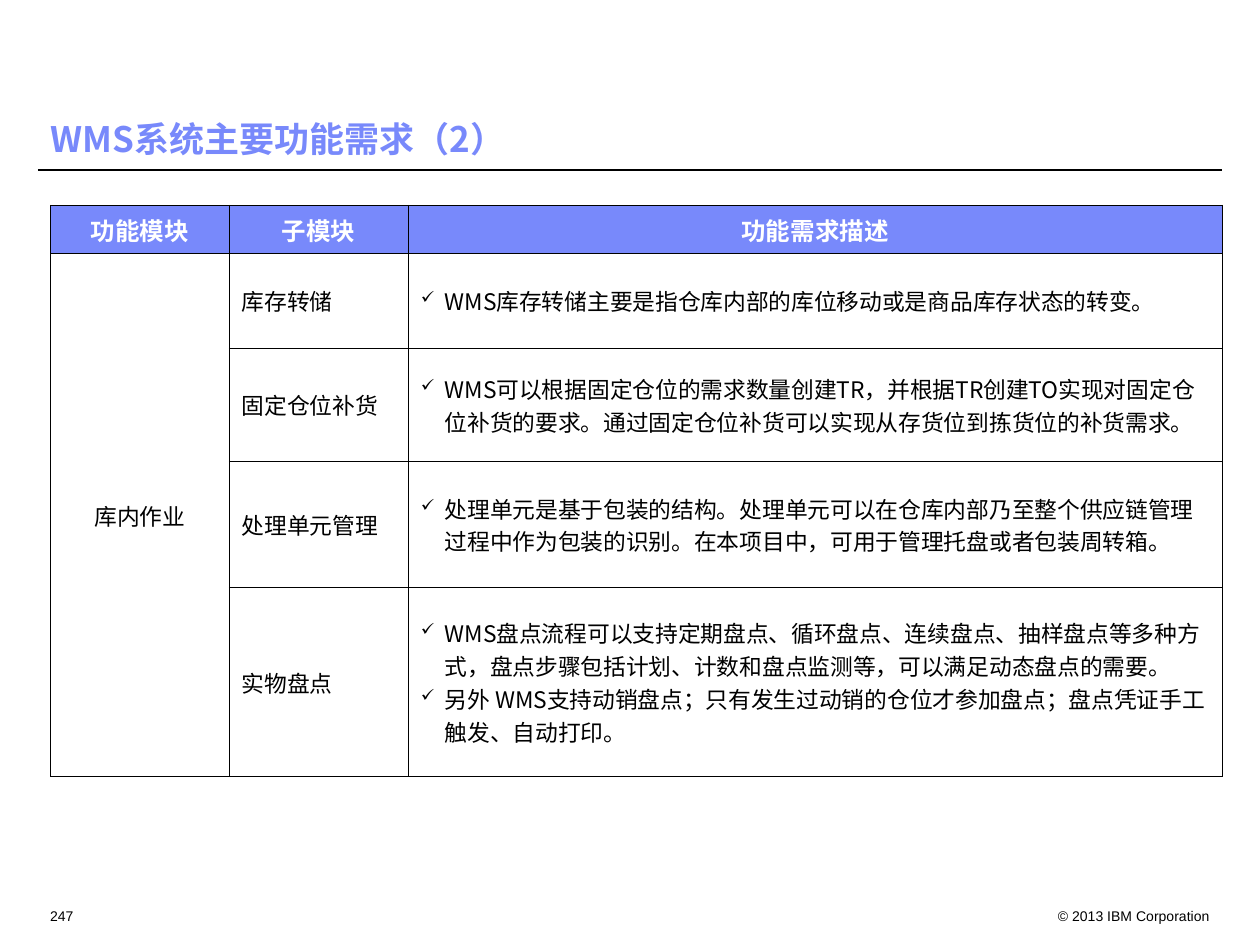
from lxml.etree import SubElement
from pptx import Presentation
from pptx.dml.color import RGBColor
from pptx.enum.shapes import MSO_CONNECTOR
from pptx.enum.text import MSO_ANCHOR, MSO_AUTO_SIZE, PP_ALIGN
from pptx.oxml import parse_xml
from pptx.oxml.ns import nsdecls, qn
from pptx.util import Inches, Pt

BLUE, BLACK, WHITE = "7889FB", "000000", "FFFFFF"
LATIN, CHINESE = "Arial", "Noto Sans CJK SC"
WIDTH, HEIGHT = Inches(10), Inches(7.5)
COLUMN_SHARES = [1.42, 1.42, 6.46]
ROW_SHARES = [0.37, 0.75, 0.9, 1, 1.5]
HEADINGS = ["功能模块", "子模块", "功能需求描述"]
MODULE = "库内作业"
REQUIREMENTS = [
    ("库存转储", ["WMS库存转储主要是指仓库内部的库位移动或是商品库存状态的转变。"]),
    ("固定仓位补货", [
        "WMS可以根据固定仓位的需求数量创建TR，并根据TR创建TO实现对固定仓位补货的要求。"
        "通过固定仓位补货可以实现从存货位到拣货位的补货需求。"]),
    ("处理单元管理", [
        "处理单元是基于包装的结构。处理单元可以在仓库内部乃至整个供应链管理过程中作为包装的识别。"
        "在本项目中，可用于管理托盘或者包装周转箱。"]),
    ("实物盘点", [
        "WMS盘点流程可以支持定期盘点、循环盘点、连续盘点、抽样盘点等多种方式，"
        "盘点步骤包括计划、计数和盘点监测等，可以满足动态盘点的需要。",
        "另外 WMS支持动销盘点；只有发生过动销的仓位才参加盘点；盘点凭证手工触发、自动打印。"]),
]
TITLE = dict(size=Pt(20), name=CHINESE, bold=True)
HEADING = dict(size=Pt(14), name=CHINESE, bold=True)
BODY = dict(size=Pt(13), name=CHINESE, bold=False)
FOOTER = dict(size=Pt(8), name=LATIN, bold=False)


def rgb(value):
    return RGBColor.from_string(value)


def box(left, top, width, height):
    return [int(share * side) for share, side in
            zip((left, top, width, height), (WIDTH, HEIGHT) * 2)]


def write(paragraph, text, style, colour, align=PP_ALIGN.LEFT):
    paragraph.alignment = align
    run = paragraph.add_run()
    run.text = text
    for key, value in style.items():
        setattr(run.font, key, value)
    run.font.color.rgb = rgb(colour)
    east_asian = SubElement(run.font._element, qn("a:ea"))
    east_asian.set("typeface", style["name"])


def add_check(paragraph):
    properties = paragraph._p.get_or_add_pPr()
    properties.set("marL", str(Inches(0.19)))
    properties.set("indent", str(Inches(-0.19)))
    for bullet in (f'<a:buClr {nsdecls("a")}><a:srgbClr val="{BLACK}"/></a:buClr>',
                   f'<a:buSzPct {nsdecls("a")} val="75000"/>',
                   f'<a:buChar {nsdecls("a")} char="✓"/>'):
        properties.append(parse_xml(bullet))


def format_cell(cell, fill=None):
    cell.vertical_anchor = MSO_ANCHOR.MIDDLE
    properties = cell._tc.get_or_add_tcPr()
    for side in "LRTB":
        properties.append(parse_xml(
            f'<a:ln{side} {nsdecls("a")} w="{Pt(0.5)}"><a:solidFill>'
            f'<a:srgbClr val="{BLACK}"/></a:solidFill></a:ln{side}>'))
    if fill:
        cell.fill.solid()
        cell.fill.fore_color.rgb = rgb(fill)
    else:
        cell.fill.background()


def add_heading(slide, area, text):
    title = slide.shapes.title
    title.left, title.top, title.width, title.height = area
    frame = title.text_frame
    frame.auto_size = MSO_AUTO_SIZE.NONE
    frame.vertical_anchor = MSO_ANCHOR.BOTTOM
    frame.paragraphs[0].line_spacing = 0.9
    write(frame.paragraphs[0], text, TITLE, BLUE)


def add_rule(slide, left, top, width):
    rule = slide.shapes.add_connector(
        MSO_CONNECTOR.STRAIGHT, left, top, left + width, top)
    rule.line.width = Pt(0.75)
    rule.line.color.rgb = rgb(BLACK)
    SubElement(rule._element.spPr, qn("a:effectLst"))


def add_footer(slide, area, text, align):
    frame = slide.shapes.add_textbox(*area).text_frame
    frame.word_wrap = True
    write(frame.paragraphs[0], text, FOOTER, BLACK, align)


def add_requirements(slide, area):
    left, top, width, height = area
    table = slide.shapes.add_table(
        len(ROW_SHARES), len(COLUMN_SHARES), left, top, width, height).table
    table.first_row = table.horz_banding = False
    for column, share in zip(table.columns, COLUMN_SHARES):
        column.width = int(width * share / sum(COLUMN_SHARES))
    for row, share in zip(table.rows, ROW_SHARES):
        row.height = int(height * share / sum(ROW_SHARES))
    table.cell(1, 0).merge(table.cell(len(REQUIREMENTS), 0))
    for index, row in enumerate(table.rows):
        for cell in row.cells:
            format_cell(cell, None if index else BLUE)

    for cell, heading in zip(table.rows[0].cells, HEADINGS):
        write(cell.text_frame.paragraphs[0], heading, HEADING, WHITE, PP_ALIGN.CENTER)
    write(table.cell(1, 0).text_frame.paragraphs[0], MODULE, BODY, BLACK, PP_ALIGN.CENTER)
    for index, (submodule, descriptions) in enumerate(REQUIREMENTS, 1):
        write(table.cell(index, 1).text_frame.paragraphs[0], submodule, BODY, BLACK)
        frame = table.cell(index, 2).text_frame
        for order, description in enumerate(descriptions):
            paragraph = frame.add_paragraph() if order else frame.paragraphs[0]
            add_check(paragraph)
            write(paragraph, description, BODY, BLACK)


def main():
    deck = Presentation()
    deck.slide_width, deck.slide_height = WIDTH, HEIGHT
    slide = deck.slides.add_slide(deck.slide_layouts[5])
    add_rule(slide, *box(0.03, 0.18, 0.94, 0)[:3])
    add_heading(slide, box(0.03, 0.07, 0.94, 0.106), "WMS系统主要功能需求（2）")
    add_requirements(slide, box(0.04, 0.2173, 0.93, 0.6027))
    add_footer(slide, box(0.03, 0.9533, 0.04, 0.0267), "247", PP_ALIGN.LEFT)
    add_footer(slide, box(0.82, 0.9533, 0.15, 0.0267),
               "© 2013 IBM Corporation", PP_ALIGN.RIGHT)
    deck.save("out.pptx")


if __name__ == "__main__":
    main()
